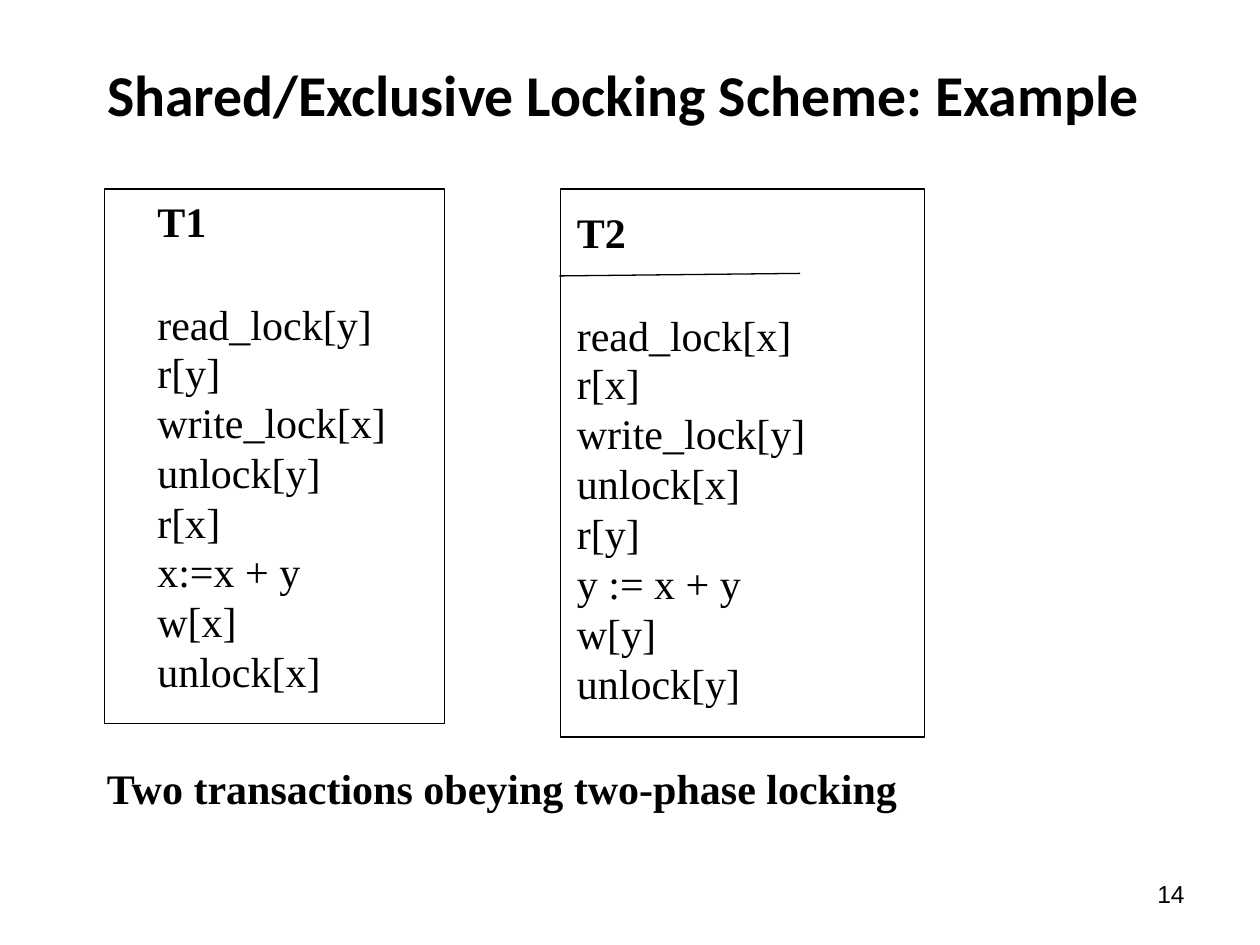
from dataclasses import dataclass

from lxml import etree
from pptx import Presentation
from pptx import util as u
from pptx.dml import color
from pptx.enum import shapes, text

INK = "000000"
SERIF = "Times New Roman"


@dataclass
class Panel:
    """A framed list of the steps of one transaction."""
    name: str
    steps: list[str]
    frame: tuple[float, float, float, float]
    area: tuple[float, float, float, float]


PANELS = [
    Panel("T1",
          ["read_lock[y]", "r[y]", "write_lock[x]", "unlock[y]",
           "r[x]", "x:=x + y", "w[x]", "unlock[x]"],
          (0.83, 1.5, 2.7, 4.24), (1.15, 1.5, 5.25, 4.34)),
    Panel("T2",
          ["read_lock[x]", "r[x]", "write_lock[y]", "unlock[x]",
           "r[y]", "y := x + y", "w[y]", "unlock[y]"],
          (4.45, 1.5, 2.89, 4.35), (4.48, 1.59, 3.65, 4.45)),
]


def rgb(code: str) -> color.RGBColor:
    """Turn a hex string into a colour."""
    return color.RGBColor.from_string(code)


def place(area: tuple) -> list:
    """Turn left, top, width and height into lengths."""
    return [u.Inches(n) for n in area]


def write(para, words: str, size: float = 24, font: str = SERIF,
          bold: bool = False, align=text.PP_ALIGN.LEFT,
          before: float = 0, line: float = 1.0) -> None:
    """Put formatted text into a paragraph."""
    run = para.add_run()
    run.text = words
    run.font.size = u.Pt(size)
    run.font.name = font
    run.font.bold = bold
    run.font.color.rgb = rgb(INK)
    para.alignment = align
    para.space_before = u.Pt(before)
    para.line_spacing = line


def add_box(slide, area: tuple, anchor=text.MSO_ANCHOR.TOP):
    """Add a wrapping text box and return its text frame."""
    frame = slide.shapes.add_textbox(*place(area)).text_frame
    frame.word_wrap = True
    frame.vertical_anchor = anchor
    return frame


def add_title(slide, words: str) -> None:
    """Move and fill the title placeholder."""
    title = slide.shapes.title
    title.left, title.top, title.width, title.height = place(
        (0.75, 0.42, 8.5, 1.42))
    frame = title.text_frame
    frame.word_wrap = True
    frame.auto_size = text.MSO_AUTO_SIZE.NONE
    frame.vertical_anchor = text.MSO_ANCHOR.TOP
    write(frame.paragraphs[0], words, size=33, font="Calibri",
          bold=True, before=2)


def add_panel(slide, panel: Panel) -> None:
    """Draw one transaction: its name, steps and frame."""
    frame = add_box(slide, panel.area)
    write(frame.paragraphs[0], panel.name, bold=True)
    for i, step in enumerate(panel.steps):
        write(frame.add_paragraph(), step,
              before=0 if i else 30, line=0.99 if i else 1.0)
    rect = slide.shapes.add_shape(
        shapes.MSO_SHAPE.RECTANGLE, *place(panel.frame))
    rect.shadow.inherit = False
    rect.fill.background()
    rect.line.color.rgb = rgb(INK)
    rect.line.width = u.Pt(0.75)


def add_rule(slide, ends: tuple) -> None:
    """Draw a thin straight line."""
    rule = slide.shapes.add_connector(
        shapes.MSO_CONNECTOR.STRAIGHT, *place(ends))
    rule.line.color.rgb = rgb(INK)
    rule.line.width = u.Pt(0.75)
    props = rule._element.spPr
    etree.SubElement(
        props, "{http://schemas.openxmlformats.org/drawingml/2006/main}effectLst")


def main() -> None:
    """Build and save the slide."""
    deck = Presentation()
    deck.slide_width, deck.slide_height = u.Inches(10), u.Inches(7.5)
    slide = deck.slides.add_slide(deck.slide_layouts[5])
    add_title(slide, "Shared/Exclusive Locking Scheme: Example")
    for panel in PANELS:
        add_panel(slide, panel)
    add_rule(slide, (4.44, 2.19, 6.35, 2.17))
    note = add_box(slide, (0.75, 6, 8.67, 0.5))
    write(note.paragraphs[0], "Two transactions obeying two-phase locking",
          bold=True, before=2)
    page = add_box(slide, (7.17, 6.83, 2.33, 0.52), text.MSO_ANCHOR.MIDDLE)
    write(page.paragraphs[0], "14", size=14, font="Arial",
          align=text.PP_ALIGN.RIGHT)
    deck.save("out.pptx")


main()
